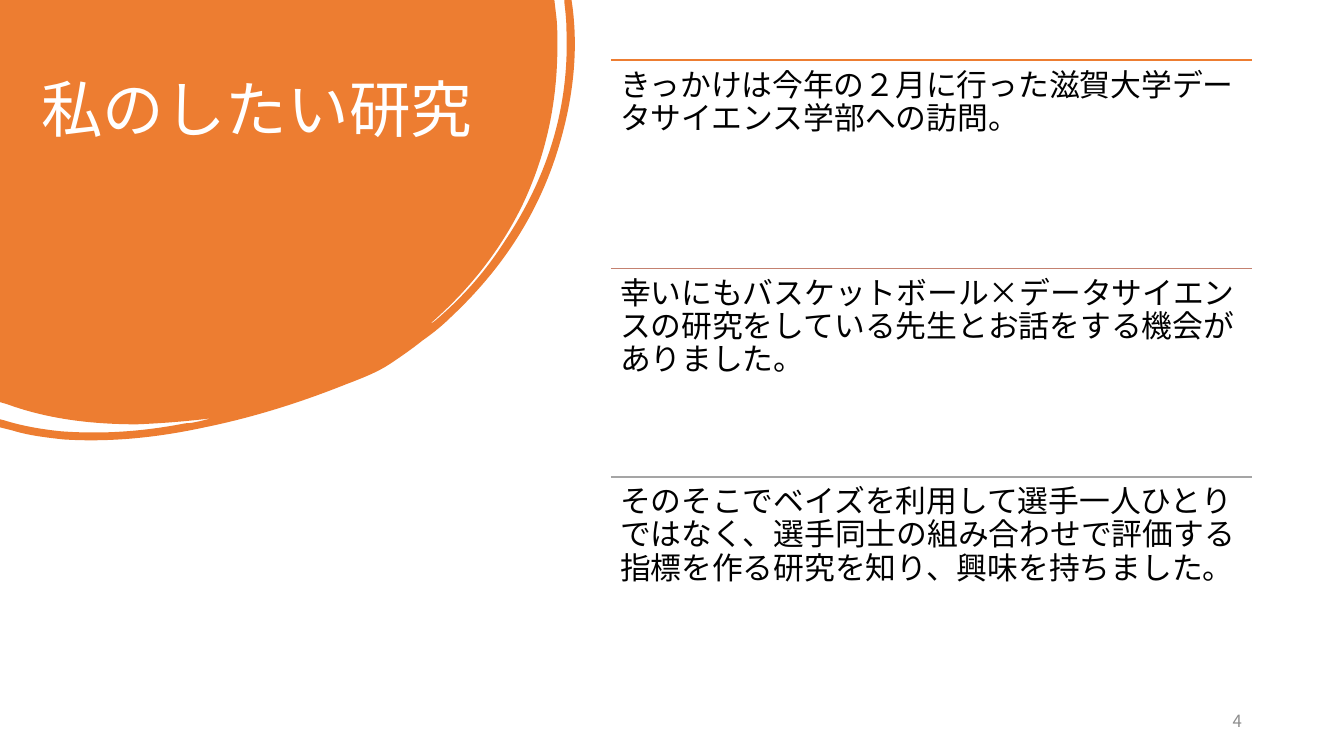
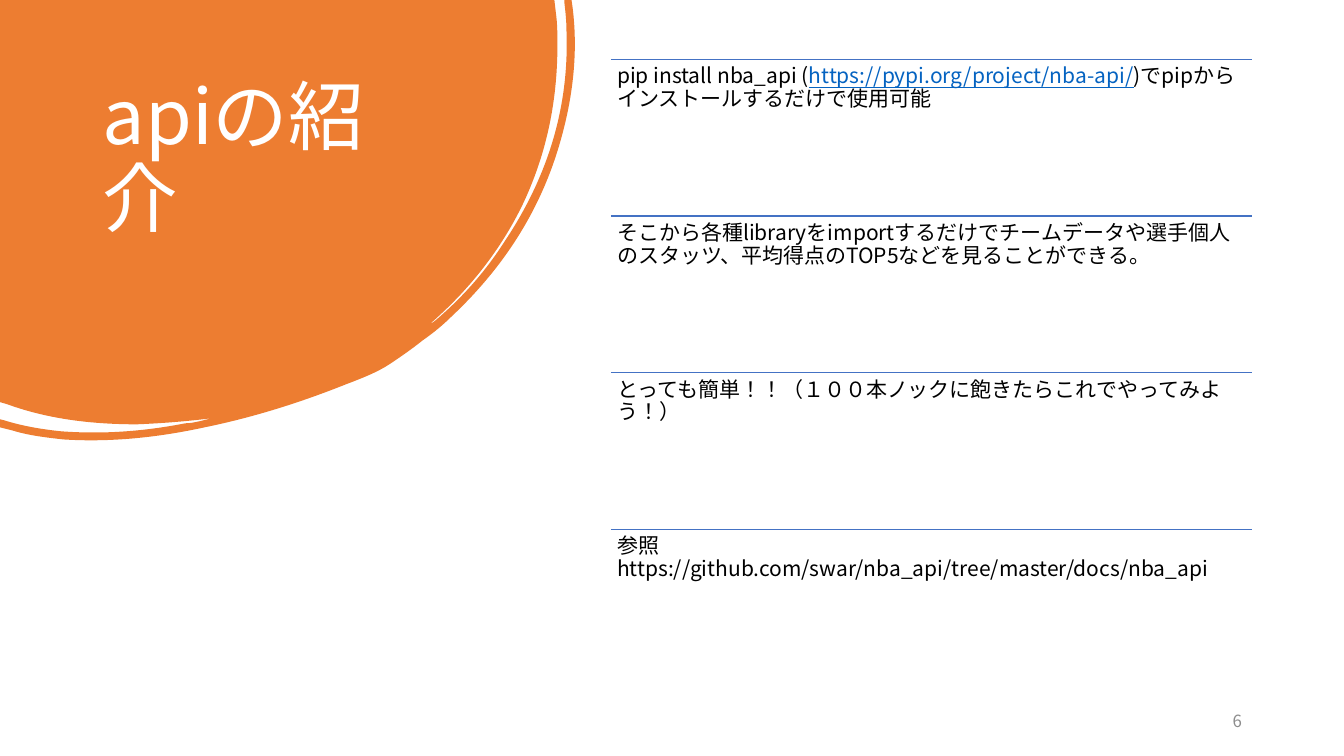
"""Build two slides with an orange brush corner, a title and ruled statements."""
from lxml import etree
from pptx import Presentation
from pptx.dml.color import RGBColor
from pptx.enum.lang import MSO_LANGUAGE_ID
from pptx.enum.shapes import MSO_CONNECTOR
from pptx.enum.text import MSO_ANCHOR, PP_ALIGN
from pptx.oxml.ns import qn
from pptx.util import Pt

STRAIGHT = MSO_CONNECTOR.STRAIGHT
TOP, MIDDLE = MSO_ANCHOR.TOP, MSO_ANCHOR.MIDDLE
LEFT, RIGHT = PP_ALIGN.LEFT, PP_ALIGN.RIGHT
JAPANESE = MSO_LANGUAGE_ID.JAPANESE

FONT = "Noto Sans CJK JP"
ORANGE = RGBColor(0xED, 0x7D, 0x31)
ROSE = RGBColor(0xC4, 0x81, 0x70)
GRAY = RGBColor(0xA5, 0xA5, 0xA5)
BLUE = RGBColor(0x44, 0x72, 0xC4)
LINK = RGBColor(0x05, 0x63, 0xC1)
NUMBER_GRAY = RGBColor(0x8C, 0x8C, 0x8C)
BLACK = RGBColor(0, 0, 0)
WHITE = RGBColor(255, 255, 255)

LIST_LEFT, LIST_WIDTH = 436.3, 457.9
OUTLINE_UNIT = 0.72

BRUSH_OUTLINE = [
    (0, 0), (550, 0), (552, 17),
    (553, 26, 553, 36, 553, 45), (553, 101, 542, 154, 518, 204),
    (496, 249, 465, 288, 427, 321), (429, 321, 430, 319, 432, 318),
    (459, 295, 482, 269, 501, 239), (543, 176, 565, 107, 562, 30),
    (562, 21, 561, 12, 560, 3), (560, 0), (567, 0), (568, 7),
    (574, 54, 568, 102, 553, 150), (533, 214, 497, 268, 448, 314),
    (439, 323, 429, 331, 419, 338), (409, 346, 399, 353, 387, 361),
    (375, 369, 360, 375, 344, 381), (299, 399, 252, 414, 203, 424),
    (157, 434, 110, 439, 63, 436), (45, 434, 28, 432, 12, 427),
    (0, 424), (0, 416), (4, 417),
    (23, 423, 42, 426, 61, 428), (103, 431, 143, 428, 184, 420),
    (189, 420, 193, 419, 198, 418), (202, 417, 206, 416, 210, 415),
    (186, 418, 161, 420, 136, 421), (92, 421, 48, 416, 7, 401),
    (0, 399),
]

SLIDES = [
    {
        "title": "私のしたい研究", "title_left": 22.3, "title_width": 332.6, "title_size": 44,
        "number": "4", "size": 22, "list_top": 43, "row_height": 148.8,
        "items": [
            (ORANGE, ["きっかけは今年の２月に行った滋賀大学データサイエンス学部への訪問。"]),
            (ROSE, ["幸いにもバスケットボール×データサイエンスの研究をしている先生とお話をする機会がありました。"]),
            (GRAY, ["そのそこでベイズを利用して選手一人ひとりではなく、選手同士の組み合わせで評価する"
                    "指標を作る研究を知り、興味を持ちました。"]),
        ],
    },
    {
        "title": "apiの紹介", "title_left": 66.2, "title_width": 253.4, "title_size": 54,
        "number": "6", "size": 15, "list_top": 42.5, "row_height": 111.85,
        "items": [
            (BLUE, ["pip install nba_api (", "https://pypi.org/project/nba-api/",
                    ")でpipからインストールするだけで使用可能"]),
            (BLUE, ["そこから各種libraryをimportするだけでチームデータや選手個人のスタッツ、"
                    "平均得点のTOP5などを見ることができる。"]),
            (BLUE, ["とっても簡単！！（１００本ノックに飽きたらこれでやってみよう！）"]),
            (BLUE, ["参照　https://github.com/swar/nba_api/tree/master/docs/nba_api"]),
        ],
    },
]


def add_brush(page):
    outline = [[Pt(value * OUTLINE_UNIT) for value in segment] for segment in BRUSH_OUTLINE]
    builder = page.shapes.build_freeform(*outline[0])
    builder.add_line_segments([segment[-2:] for segment in outline[1:]], close=True)
    brush = builder.convert_to_shape()
    brush.shadow.inherit = False
    brush.fill.solid()
    brush.fill.fore_color.rgb = ORANGE
    brush.line.fill.background()
    edges = list(brush._element.iter(qn("a:lnTo")))
    for edge, segment in zip(edges, outline[1:]):
        if len(segment) == 6:
            edge.tag = qn("a:cubicBezTo")
            for position in (0, 1):
                x, y = segment[2 * position:2 * position + 2]
                edge.insert(position, etree.Element(qn("a:pt"), x=str(int(x)), y=str(int(y))))


def add_text(page, frame, spans, size, color, align=LEFT, anchor=TOP, inset=None, spacing=0.9):
    box = page.shapes.add_textbox(*[Pt(length) for length in frame])
    text = box.text_frame
    text.word_wrap = True
    text.vertical_anchor = anchor
    if inset is not None:
        text.margin_left = text.margin_top = text.margin_right = text.margin_bottom = Pt(inset)
    para = text.paragraphs[0]
    para.alignment = align
    para.line_spacing = spacing
    para.font.size = Pt(size)
    para.font.color.rgb = color
    para.font.name = FONT
    defaults = para._p.pPr.find(qn("a:defRPr"))
    etree.SubElement(defaults, qn("a:ea"), typeface=FONT)
    for index, words in enumerate(spans):
        span = para.add_run()
        span.text = words
        span.font.language_id = JAPANESE
        if index % 2:
            span.font.color.rgb = LINK
            span.font.underline = True


deck = Presentation()
deck.slide_width, deck.slide_height = Pt(960), Pt(540)

for content in SLIDES:
    page = deck.slides.add_slide(deck.slide_layouts[6])
    add_brush(page)
    title_frame = (content["title_left"], 53.3, content["title_width"], 159.8)
    add_text(page, title_frame, [content["title"]], content["title_size"], WHITE)
    add_text(page, (678.2, 500.4, 216, 28.8), [content["number"]], 12, NUMBER_GRAY,
             align=RIGHT, anchor=MIDDLE, spacing=1.0)

    size, row_height = content["size"], content["row_height"]
    for row, (rule_color, spans) in enumerate(content["items"]):
        top = content["list_top"] + row * row_height
        rule = page.shapes.add_connector(
            STRAIGHT, Pt(LIST_LEFT), Pt(top), Pt(LIST_LEFT + LIST_WIDTH), Pt(top))
        rule.line.color.rgb = rule_color
        rule.line.width = Pt(1)
        etree.SubElement(rule._element.spPr, qn("a:effectLst"))
        add_text(page, (LIST_LEFT, top, LIST_WIDTH, row_height), spans, size, BLACK,
                 inset=size * 0.3)

deck.save("out.pptx")
